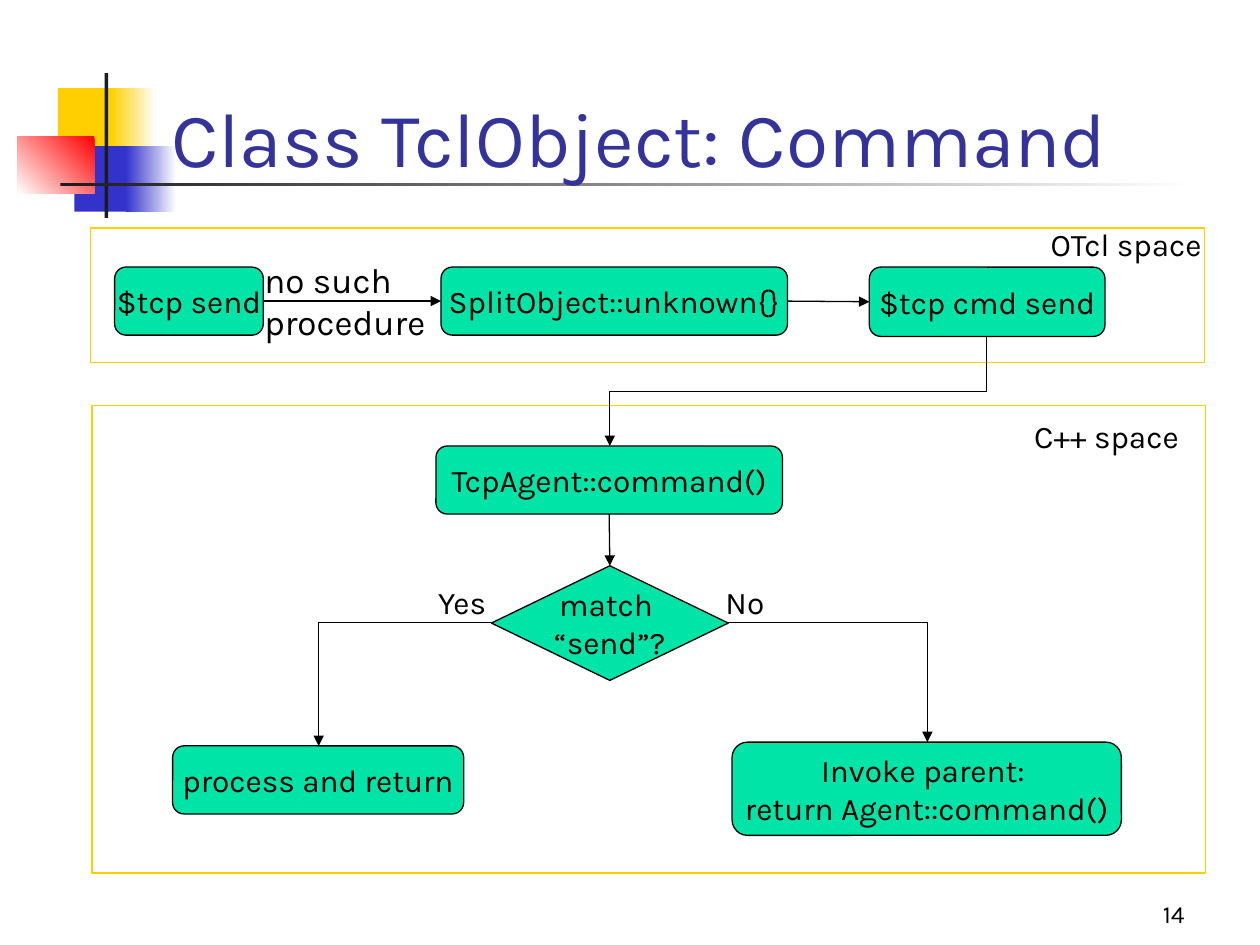
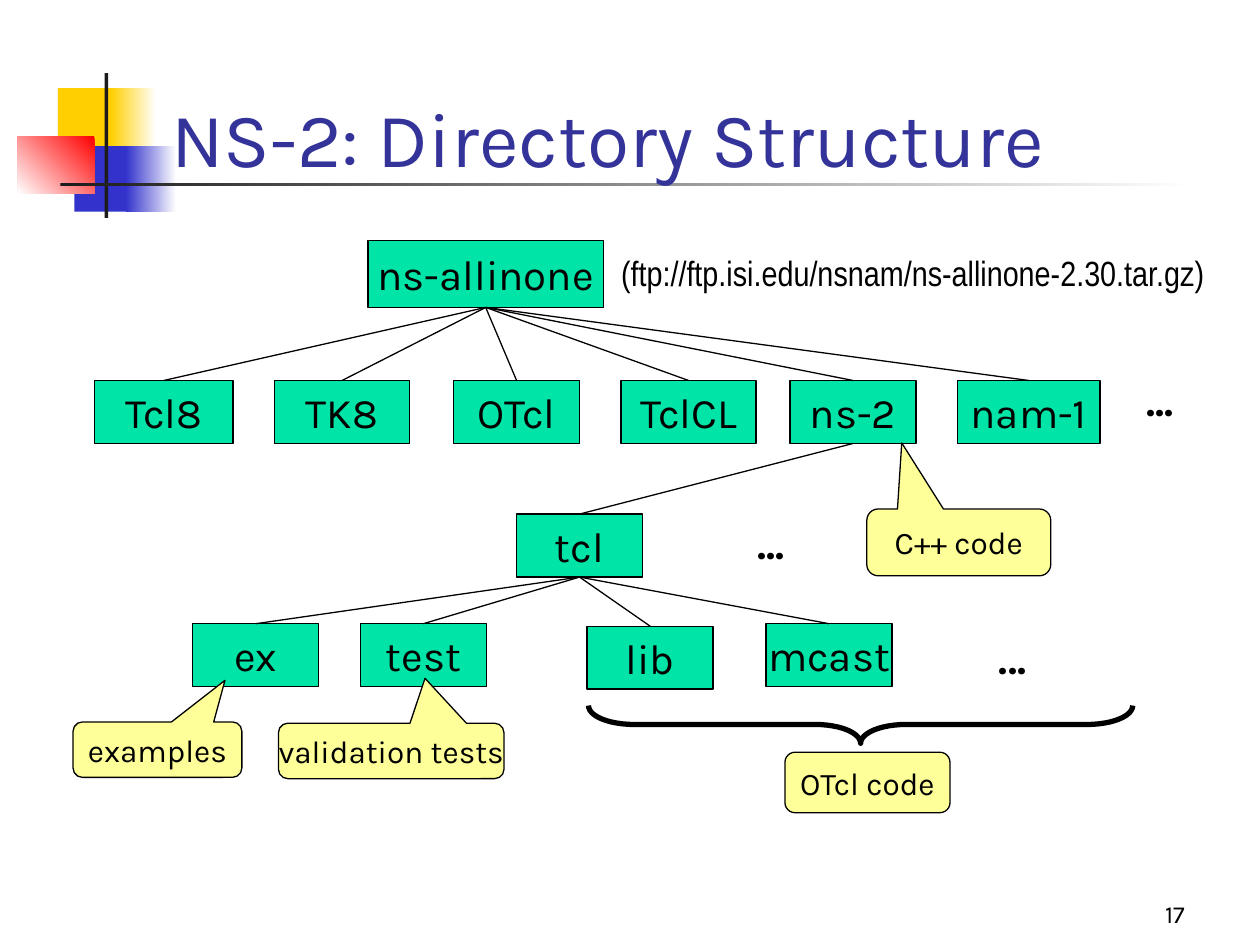
from pptx import Presentation, util as u
from pptx.dml.color import RGBColor
from pptx.enum import shapes, text
from pptx.oxml import parse_xml
from pptx.oxml.ns import nsdecls, qn

COLORS = {
    "black": "000000", "white": "FFFFFF", "title": "333399",
    "node": "00E4A8", "note": "FFFF99", "frame": "FFCF01",
    "yellow": "FFCF01", "blue": "3333CC", "red": "FF0000", "bar": "1C1C1C",
}
FONT = "Karla"
SHAPE, LINE = shapes.MSO_SHAPE, shapes.MSO_CONNECTOR
TOP, LEFT, BOTTOM, RIGHT = range(4)  # connection sites of a box


def rgb(name):
    return RGBColor.from_string(COLORS[name])


def write(tf, content, size=18, font=FONT, color="black", bold=False,
          align="LEFT", anchor="TOP", wrap=False):
    """Fill a text frame, one paragraph for each line of content."""
    tf.word_wrap = wrap
    tf.vertical_anchor = getattr(text.MSO_ANCHOR, anchor)
    for i, line in enumerate(content.split("\n")):
        p = tf.add_paragraph() if i else tf.paragraphs[0]
        p.alignment = getattr(text.PP_ALIGN, align)
        r = p.add_run()
        r.text = line
        r.font.size, r.font.name, r.font.bold = u.Pt(size), font, bold
        r.font.color.rgb = rgb(color)


class Deck:
    def __init__(self):
        self.prs = Presentation()
        self.prs.slide_width, self.prs.slide_height = u.Inches(10), u.Inches(7.5)
        self.s = None

    def slide(self, title, number):
        self.s = self.prs.slides.add_slide(self.prs.slide_layouts[6])
        # Corner squares and rules
        self.shape((0.46, 0.7, 0.48, 0.52), fill="yellow", line=None)
        self.fade((0.88, 0.7, 0.36, 0.52), "yellow")
        self.shape((0.59, 1.16, 0.46, 0.52), fill="blue", line=None)
        self.fade((1, 1.16, 0.4, 0.52), "blue")
        self.fade((0.14, 1.08, 0.61, 0.46), "red", angle=225)
        self.shape((0.83, 0.58, 0.03, 1.15), fill="bar", line=None)
        self.fade((0.48, 1.45, 9, 0.03), "bar")
        # Title and page number
        self.label((1.26, 0.25, 8.52, 1.25), title, size=44, color="title",
                   anchor="BOTTOM", wrap=True)
        self.label((7.42, 6.92, 2.08, 0.5), str(number), size=14,
                   align="RIGHT", anchor="BOTTOM", wrap=True)

    def shape(self, at, kind=SHAPE.RECTANGLE, fill=None, line="black",
              width=0.75, adj=()):
        sp = self.s.shapes.add_shape(kind, *map(u.Inches, at))
        sp.shadow.inherit = False
        if fill:
            sp.fill.solid()
            sp.fill.fore_color.rgb = rgb(fill)
        else:
            sp.fill.background()
        if line:
            sp.line.color.rgb, sp.line.width = rgb(line), u.Pt(width)
        else:
            sp.line.fill.background()
        for i, value in enumerate(adj):
            sp.adjustments[i] = value
        return sp

    def fade(self, at, color, angle=0):
        sp = self.shape(at, line=None)
        sp.fill.gradient()
        sp.fill.gradient_angle = angle
        for stop, name in zip(sp.fill.gradient_stops, (color, "white")):
            stop.color.rgb = rgb(name)

    def node(self, at, content, kind=SHAPE.ROUNDED_RECTANGLE, fill="node",
             size=18, adj=()):
        sp = self.shape(at, kind, fill, adj=adj)
        write(sp.text_frame, content, size=size, align="CENTER", anchor="MIDDLE")
        return sp

    def label(self, at, content, **fmt):
        sp = self.s.shapes.add_textbox(*map(u.Inches, at))
        write(sp.text_frame, content, **fmt)

    def connector(self, kind, start, end, arrow=True):
        c = self.s.shapes.add_connector(kind, *map(u.Inches, start + end))
        c.line.color.rgb, c.line.width = rgb("black"), u.Pt(0.75)
        if arrow:
            c.line._get_or_add_ln().append(
                parse_xml(f'<a:tailEnd {nsdecls("a")} type="triangle"/>'))
        c._element.spPr.append(parse_xml(f'<a:effectLst {nsdecls("a")}/>'))
        return c

    def link(self, a, b, sites=(BOTTOM, TOP), arrow=False):
        c = self.connector(LINE.STRAIGHT, (0, 0), (0, 0), arrow)
        c.begin_connect(a, sites[0])
        c.end_connect(b, sites[1])

    def corner(self, start, end):
        """Arrow that runs across, then down."""
        c = self.connector(LINE.ELBOW, start, end)
        c._element.spPr.find(qn("a:prstGeom")).set("prst", "bentConnector2")

    def step(self, start, end):
        """Arrow that runs down, left and down: an elbow turned a quarter."""
        (x1, y1), (x2, y2) = start, end
        cx, cy, w, h = (x1 + x2) / 2, (y1 + y2) / 2, y2 - y1, x1 - x2
        c = self.connector(LINE.ELBOW, (cx - w / 2, cy - h / 2),
                           (cx + w / 2, cy + h / 2))
        c._element.spPr.find(qn("a:xfrm")).set("rot", str(90 * 60000))


def command_slide(d):
    d.slide("Class TclObject: Command", 14)
    # The two spaces
    d.shape((0.72, 1.81, 8.84, 1.07), line="frame")
    d.label((8.24, 1.74, 1.52, 0.4), "OTcl space", wrap=True)
    d.shape((0.73, 3.22, 8.84, 3.71), line="frame")
    d.label((8.11, 3.26, 1.52, 0.4), "C++ space", wrap=True)
    # OTcl calls
    send = d.node((0.91, 2.12, 1.18, 0.54), "$tcp send")
    unknown = d.node((3.5, 2.12, 2.75, 0.54), "SplitObject::unknown{}")
    cmd = d.node((6.9, 2.12, 1.87, 0.55), "$tcp cmd send")
    for a, b in ((send, unknown), (unknown, cmd)):
        d.link(a, b, (RIGHT, LEFT), arrow=True)
    d.label((2, 2, 1.56, 0.77), "no such\nprocedure", size=20)
    # C++ decision
    agent = d.node((3.46, 3.54, 2.75, 0.54), "TcpAgent::command()")
    match = d.node((3.9, 4.49, 1.88, 0.91), "match \n“send”?", SHAPE.DIAMOND)
    d.step((7.83, 2.67), (4.84, 3.54))
    d.link(agent, match, arrow=True)
    d.node((1.37, 5.92, 2.31, 0.54), "process and return")
    d.node((5.81, 5.89, 3.09, 0.74), "Invoke parent: \nreturn Agent::command()")
    d.corner((3.9, 4.94), (2.53, 5.92))
    d.corner((5.78, 4.94), (7.36, 5.89))
    d.label((3.38, 4.58, 0.6, 0.4), "Yes")
    d.label((5.66, 4.58, 0.54, 0.4), "No")


def directory_slide(d):
    d.slide("NS-2: Directory Structure", 17)

    def folder(name, x, y, w=1, h=0.5, parent=None):
        sp = d.node((x, y, w, h), name, SHAPE.RECTANGLE, size=24)
        if parent is not None:
            d.link(parent, sp)
        return sp

    # Directory tree
    root = folder("ns-allinone", 2.92, 1.91, 1.87, 0.53)
    d.label((4.83, 1.89, 4.83, 0.55),
            "(ftp://ftp.isi.edu/nsnam/ns-allinone-2.30.tar.gz)",
            size=20, font="Arial Narrow", align="CENTER", anchor="MIDDLE")
    packages = {}
    for name, x, w in (("Tcl8", 0.75, 1.1), ("TK8", 2.18, 1.07), ("OTcl", 3.6, 1),
                       ("TclCL", 4.93, 1.07), ("ns-2", 6.27, 1), ("nam-1", 7.6, 1.13)):
        packages[name] = folder(name, x, 3.02, w, parent=root)
    tcl = folder("tcl", 4.1, 4.08, parent=packages["ns-2"])
    for name, x, y in (("ex", 1.53, 4.95), ("test", 2.86, 4.95),
                       ("lib", 4.66, 4.97), ("mcast", 6.08, 4.95)):
        folder(name, x, y, parent=tcl)
    for x, y in ((9, 2.92), (5.91, 4.06), (7.83, 4.97)):
        d.label((x, y, 0.48, 0.5), "...", size=24, bold=True)

    # Notes; each pair points the callout's tip
    for name, at, tip in (
            ("examples", (0.58, 5.73, 1.34, 0.44), (0.4, -1.25)),
            ("validation tests", (2.21, 5.74, 1.79, 0.44), (0.15, -1.31)),
            ("C++ code", (6.88, 4.04, 1.46, 0.53), (-0.31, -1.49))):
        d.node(at, name, SHAPE.ROUNDED_RECTANGULAR_CALLOUT, "note", adj=(*tip, 0.17))
    brace = d.shape((6.68, 3.59, 0.3, 4.32), SHAPE.RIGHT_BRACE, width=3, adj=(1.2, 0.5))
    brace.rotation = 90
    d.node((6.23, 5.97, 1.31, 0.48), "OTcl code", fill="note")


def main():
    d = Deck()
    command_slide(d)
    directory_slide(d)
    d.prs.save("out.pptx")


if __name__ == "__main__":
    main()
